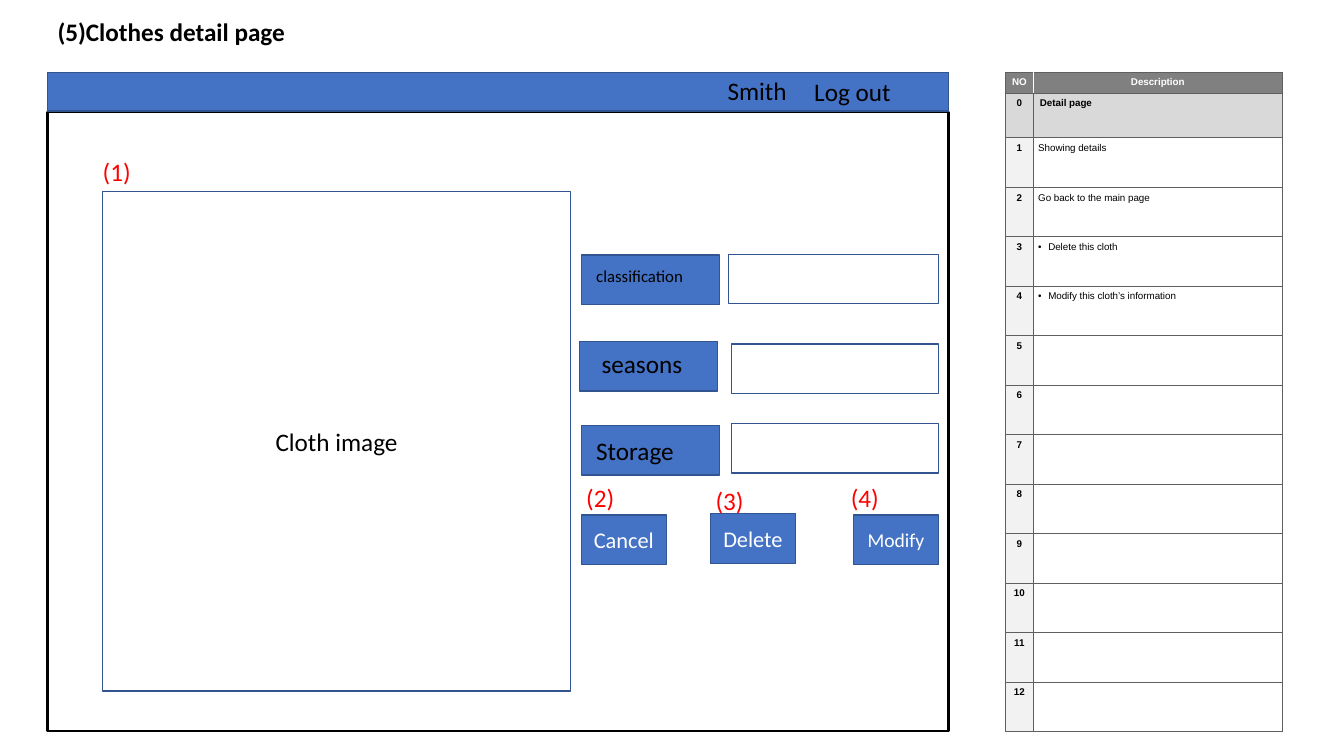
"""Build the clothes detail page wireframe with its description table."""
from lxml.etree import SubElement
from pptx import Presentation
from pptx.dml.color import RGBColor
from pptx.enum.shapes import MSO_SHAPE as Shape
from pptx.enum.text import MSO_ANCHOR as Anchor, MSO_AUTO_SIZE as AutoSize, PP_ALIGN as Align
from pptx.oxml.ns import qn
from pptx.util import Pt

BLUE, NAVY, RED = "4472C4", "325491", "FF0000"
BLACK, WHITE, GRID = "000000", "FFFFFF", "5F5F5F"

TITLE = ("(5)Clothes detail page", 34, 8, 353)
PAGE = (34, 80, 643.5, 442)
HEADER_BAR = (34, 51.8, 643.5, 27.6)
HEADER_LINKS = [("Smith", 512.6, 50.4, 71), ("Log out", 574.5, 51, 104)]
CLOTH_IMAGE = ("Cloth image", 73.4, 136.6, 334, 357)

FIELD_RIGHT, FIELD_HEIGHT, LABEL_WIDTH, BUTTON_WIDTH = 670.4, 35.4, 98.8, 60.8
FIELDS = [
    {"label": (415.2, 182.2), "value": (520.4, 181.6), "text": ("classification", 418.8, 186.5, 87, 12)},
    {"label": (413.8, 243.8), "value": (522.5, 245.6), "text": ("seasons", 422.6, 245.6, 73.4, 18)},
    {"label": (415.2, 303.8), "value": (522.5, 302.4), "text": ("Storage", 418.8, 307.6, 126.7, 18)},
]
BUTTONS = [("Cancel", 415.2, 368, 16), ("Delete", 507.4, 367, 16), ("Modify", 609.6, 368, 14)]
MARKERS = [("(1)", 66.3, 108.3), ("(2)", 411.6, 341.2), ("(3)", 504, 343), ("(4)", 600.7, 341.2)]

TABLE_LEFT, TABLE_TOP, COLUMN_WIDTHS = 718.2, 51.8, (19.8, 178)
HEADER_HEIGHT, TOPIC_HEIGHT, ROW_HEIGHT = 15, 31.5, 35.37
HEADINGS = ("NO", "Description")
TOPIC = " Detail page"
DESCRIPTIONS = ["Showing details", "Go back to the main page", "Delete this cloth",
                "Modify this cloth’s information"] + [""] * 8
BULLETED = (3, 4)


def color(value):
    """Turn a hex string into a colour."""
    return RGBColor.from_string(value)


def format_text(frame, size, shade, font="Calibri", bold=False, align=Align.LEFT):
    """Format every run in a text frame."""
    for paragraph in frame.paragraphs:
        paragraph.alignment = align
        for run in paragraph.runs:
            run.font.name, run.font.size, run.font.bold = font, Pt(size), bold
            run.font.color.rgb = color(shade)


def add_box(slide, left, top, width, height, fill=WHITE, line=NAVY, weight=1,
            text="", size=18, shade=BLACK):
    """Add a rectangle, with centred text if there is any."""
    box = slide.shapes.add_shape(Shape.RECTANGLE, Pt(left), Pt(top), Pt(width), Pt(height))
    box.shadow.inherit = False
    box.fill.solid()
    box.fill.fore_color.rgb = color(fill)
    box.line.color.rgb = color(line)
    box.line.width = Pt(weight)
    if text:
        box.text_frame.text = text
        box.text_frame.vertical_anchor = Anchor.MIDDLE
        format_text(box.text_frame, size, shade, align=Align.CENTER)


def add_label(slide, text, left, top, width, size=18, shade=BLACK, bold=False):
    """Add a plain text box."""
    frame = slide.shapes.add_textbox(Pt(left), Pt(top), Pt(width), Pt(size * 1.2 + 7.2)).text_frame
    frame.word_wrap = True
    frame.auto_size = AutoSize.SHAPE_TO_FIT_TEXT
    frame.text = text
    format_text(frame, size, shade, bold=bold)


def add_borders(cell, sides):
    """Draw the four cell borders from side, colour and weight."""
    properties = cell._tc.get_or_add_tcPr()
    for side in "LRTB":
        shade, weight = sides.get(side, (GRID, 0.25))
        line = SubElement(properties, qn(f"a:ln{side}"), w=str(Pt(weight)))
        SubElement(SubElement(line, qn("a:solidFill")), qn("a:srgbClr"), val=shade)


def add_bullet(paragraph):
    """Give a paragraph a hanging bullet."""
    properties = paragraph._p.get_or_add_pPr()
    properties.set("marL", str(Pt(7.2)))
    properties.set("indent", str(Pt(-7.2)))
    SubElement(properties, qn("a:buFont"), typeface="Arial")
    SubElement(properties, qn("a:buChar"), char="•")


def fill_cell(cell, text, fill, shade, bold, align, inset, sides):
    """Set the text, borders and fill of a table cell."""
    add_borders(cell, sides)
    if fill:
        cell.fill.solid()
        cell.fill.fore_color.rgb = color(fill)
    else:
        cell.fill.background()
    cell.margin_left = cell.margin_right = cell.margin_top = cell.margin_bottom = Pt(inset)
    if text:
        cell.text_frame.text = text
        cell.text_frame.paragraphs[0].space_before = Pt(1.4)
        format_text(cell.text_frame, 7, shade, "Arial", bold, align)


def add_description_table(slide):
    """Add the numbered description table."""
    heights = [HEADER_HEIGHT, TOPIC_HEIGHT] + [ROW_HEIGHT] * len(DESCRIPTIONS)
    table = slide.shapes.add_table(len(heights), 2, Pt(TABLE_LEFT), Pt(TABLE_TOP),
                                   Pt(sum(COLUMN_WIDTHS)), Pt(sum(heights))).table
    table.first_row = table.horz_banding = False
    for column, width in zip(table.columns, COLUMN_WIDTHS):
        column.width = Pt(width)
    for row, height in zip(table.rows, heights):
        row.height = Pt(height)
    for index, (heading, side) in enumerate(zip(HEADINGS, "RL")):
        fill_cell(table.cell(0, index), heading, "808080", WHITE, True, Align.CENTER, 2.9,
                  {side: (WHITE, 0.5)})
    for number, description in enumerate([TOPIC] + DESCRIPTIONS):
        topic = number == 0
        inset = 2.9 if topic else 3.6
        number_cell, text_cell = table.cell(number + 1, 0), table.cell(number + 1, 1)
        top_side = {"T": (GRID, 0.25)}
        fill_cell(number_cell, str(number), "D9D9D9" if topic else "F2F2F2", BLACK, True,
                  Align.CENTER, inset, top_side)
        fill_cell(text_cell, description, "D9D9D9" if topic else None, BLACK, topic,
                  Align.LEFT, inset, top_side)
        if number in BULLETED:
            add_bullet(text_cell.text_frame.paragraphs[0])


presentation = Presentation()
presentation.slide_width, presentation.slide_height = Pt(960), Pt(540)
slide = presentation.slides.add_slide(presentation.slide_layouts[6])

add_description_table(slide)
add_box(slide, *PAGE, line=BLACK, weight=1.75)
add_box(slide, *HEADER_BAR, fill=BLUE)
for link in HEADER_LINKS:
    add_label(slide, *link)
add_label(slide, *TITLE, bold=True)
add_box(slide, *CLOTH_IMAGE[1:], text=CLOTH_IMAGE[0])
for field in FIELDS:
    value_left, value_top = field["value"]
    add_box(slide, *field["label"], LABEL_WIDTH, FIELD_HEIGHT, fill=BLUE)
    add_box(slide, value_left, value_top, FIELD_RIGHT - value_left, FIELD_HEIGHT)
    add_label(slide, *field["text"])
for text, left, top, size in BUTTONS:
    add_box(slide, left, top, BUTTON_WIDTH, FIELD_HEIGHT, fill=BLUE, text=text, size=size, shade=WHITE)
for text, left, top in MARKERS:
    add_label(slide, text, left, top, 54, shade=RED)

presentation.save("out.pptx")
